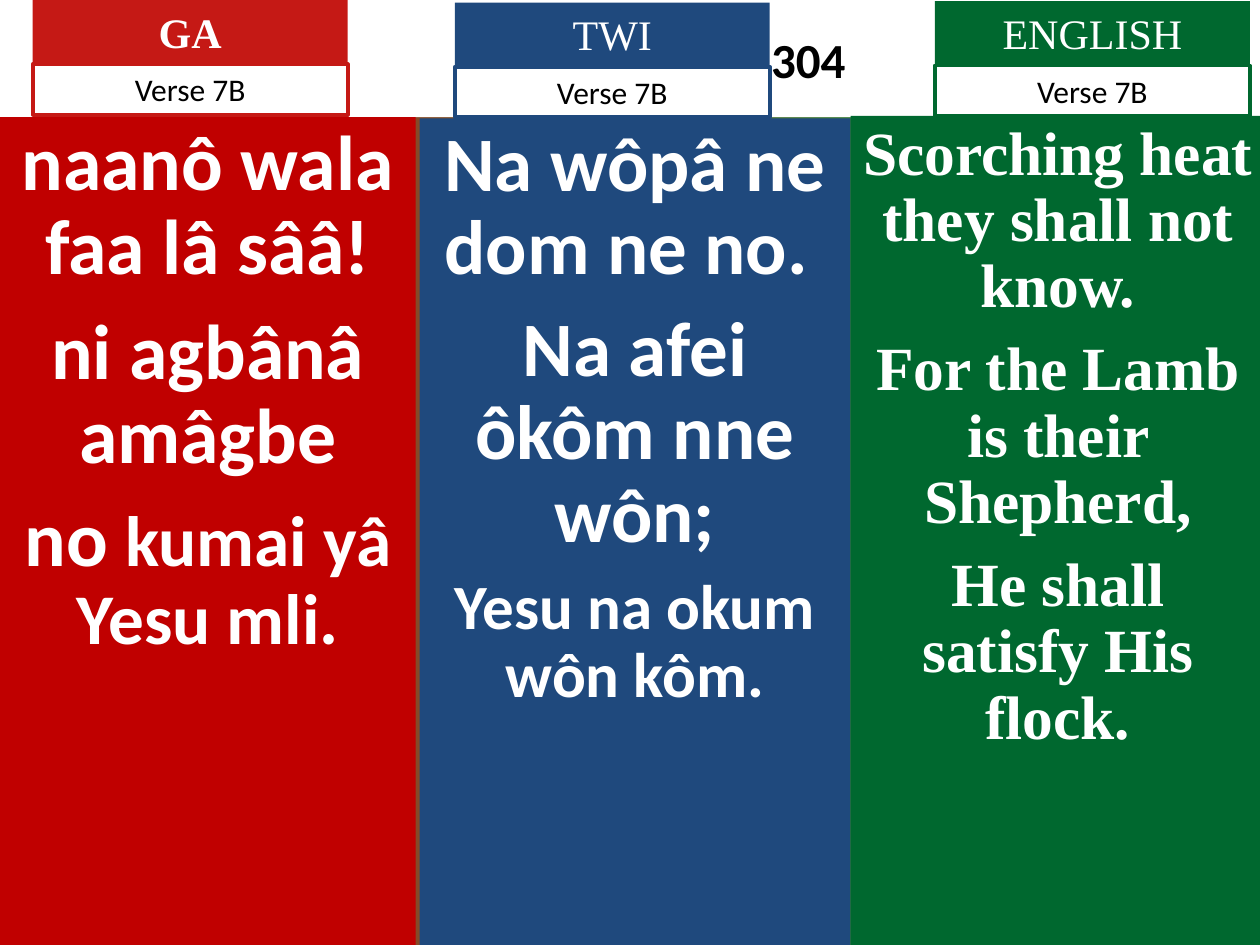
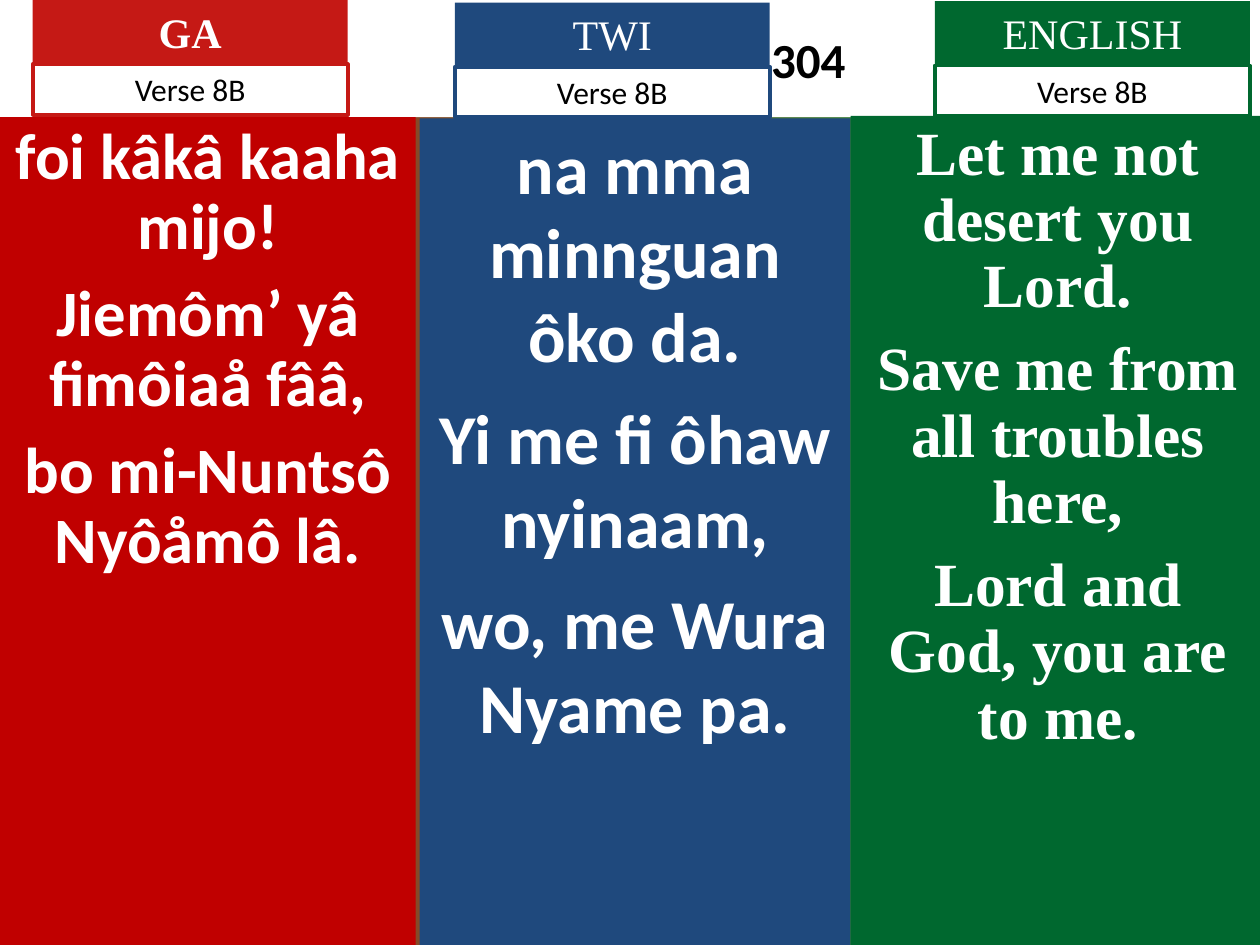
from dataclasses import dataclass
from typing import Optional

from pptx import Presentation
from pptx import util as u
from pptx.dml.color import RGBColor
from pptx.enum import shapes, text


@dataclass(frozen=True)
class Theme:
    white: str = "FFFFFF"
    black: str = "000000"
    crimson: str = "C51915"
    red: str = "C00000"
    blue: str = "1F497D"
    green: str = "00682F"
    glow: str = "00B050"
    sans: str = "Calibri"
    serif: str = "Times New Roman"
    title_size: float = 28
    tab_size: float = 24
    verse_size: float = 18
    verse_line: float = 2.25


@dataclass(frozen=True)
class Box:
    x: float
    y: float
    w: float
    h: float


@dataclass(frozen=True)
class Line:
    words: str
    size: float
    before: float
    tail: str = ""
    tail_size: float = 0


@dataclass(frozen=True)
class Column:
    language: str
    x: float
    w: float
    top: float
    tab_x: float
    tab_y: float
    body_fill: str
    tab_fill: str
    body_font: str
    tab_bold: bool = False


@dataclass(frozen=True)
class Stanza:
    lines: tuple[Line, ...]
    spacing: float = 0.9


@dataclass(frozen=True)
class Verse:
    label: str
    stanzas: tuple[Stanza, ...]


T = Theme()
GRID = 100
WIDTH, HEIGHT = u.Inches(10), u.Inches(7.5)
TAB_W, TAB_H = 25, 6.67
VERSE_STEP, VERSE_H = 6.8, 5.33
HYMN_NUMBER = "304"
TITLE_BOX = Box(0, 0, GRID, 12.4)
NUMBER_X = 61.2

COLUMNS = (
    Column("GA", 0, 33, 12.4, 2.6, 0, T.red, T.crimson, T.sans, True),
    Column("TWI", 33.3, 34.2, 12.53, 36.1, 0.27, T.blue, T.blue, T.sans),
    Column("ENGLISH", 67.5, 32.9, 12.27, 74.2, 0.13, T.green, T.green, T.serif),
)


def even_stanza(size: float, before: float, *lines: str, spacing: float = 0.9) -> Stanza:
    return Stanza(tuple(Line(words, size, before) for words in lines), spacing)


VERSES = (
    Verse("Verse 7B", (
        Stanza((
            Line("naanô wala faa lâ sââ!", 44.4, 12),
            Line("ni agbânâ amâgbe", 44.4, 12),
            Line("no ", 44.4, 11, "kumai yâ Yesu mli.", 40.7),
        )),
        Stanza((
            Line("Na wôpâ ne dom ne no. ", 44, 11),
            Line("Na afei ôkôm nne wôn;", 44, 11),
            Line("Yesu na okum wôn kôm.", 36, 9),
        )),
        even_stanza(35.1, 9.5, "Scorching heat they shall not know.",
                    "For the Lamb is their Shepherd,", "He shall satisfy His flock."),
    )),
    Verse("Verse 8B", (
        even_stanza(37, 10, "foi kâkâ kaaha mijo!", "Jiemôm’ yâ fimôiaå fââ,",
                    "bo mi-Nuntsô Nyôåmô lâ."),
        even_stanza(40, 10, "na mma minnguan ôko da.", "Yi me fi ôhaw nyinaam,",
                    "wo, me Wura Nyame pa.", spacing=1.0),
        even_stanza(35.1, 9.5, "Let me not desert you Lord.",
                    "Save me from all troubles here,", "Lord and God, you are to me."),
    )),
)


def rgb(value: str) -> RGBColor:
    return RGBColor.from_string(value)


def across(columns: float) -> int:
    return round(WIDTH * columns / GRID)


def down(rows: float) -> int:
    return round(HEIGHT * rows / GRID)


def place(sp, box: Box) -> None:
    sp.left, sp.top = across(box.x), down(box.y)
    sp.width, sp.height = across(box.w), down(box.h)


def set_font(font, name: str, size: float, color: str, bold: bool = False) -> None:
    font.name, font.size, font.bold = name, u.Pt(size), bold
    font.color.rgb = rgb(color)


def add_panel(s, box: Box, fill: Optional[str] = None, line: Optional[str] = None):
    sp = s.shapes.add_shape(shapes.MSO_SHAPE.RECTANGLE, 0, 0, 0, 0)
    place(sp, box)
    sp.shadow.inherit = False
    if fill:
        sp.fill.solid()
        sp.fill.fore_color.rgb = rgb(fill)
    else:
        sp.fill.background()
    if line:
        sp.line.color.rgb = rgb(line)
        sp.line.width = u.Pt(T.verse_line)
    else:
        sp.line.fill.background()
    tf = sp.text_frame
    tf.word_wrap = True
    tf.vertical_anchor = text.MSO_ANCHOR.TOP
    return tf


def add_label(tf, words: str, name: str, size: float, color: str, bold: bool = False) -> None:
    tf.auto_size = text.MSO_AUTO_SIZE.SHAPE_TO_FIT_TEXT
    p = tf.paragraphs[0]
    p.text = words
    p.alignment = text.PP_ALIGN.CENTER
    set_font(p.font, name, size, color, bold)


def add_stanza(tf, stanza: Stanza, name: str) -> None:
    for i, line in enumerate(stanza.lines):
        p = tf.add_paragraph() if i else tf.paragraphs[0]
        p.alignment = text.PP_ALIGN.CENTER
        p.line_spacing = stanza.spacing
        p.space_before = u.Pt(line.before if i else 0)
        p.add_run().text = line.words
        set_font(p.font, name, line.size, T.white, True)
        if line.tail:
            r = p.add_run()
            r.text = line.tail
            r.font.size = u.Pt(line.tail_size)


def add_title(s) -> None:
    sp = s.shapes.title
    place(sp, TITLE_BOX)
    sp.fill.solid()
    sp.fill.fore_color.rgb = rgb(T.white)
    tf = sp.text_frame
    tf.vertical_anchor = text.MSO_ANCHOR.MIDDLE
    tf.margin_left = across(NUMBER_X)
    p = tf.paragraphs[0]
    p.text = HYMN_NUMBER
    p.alignment = text.PP_ALIGN.LEFT
    set_font(p.font, T.sans, T.title_size, T.black, True)


def add_column(s, col: Column, label: str, stanza: Stanza) -> None:
    body = add_panel(s, Box(col.x, col.top, col.w, GRID - col.top), col.body_fill)
    add_stanza(body, stanza, col.body_font)
    tab = add_panel(s, Box(col.tab_x, col.tab_y, TAB_W, TAB_H), col.tab_fill)
    add_label(tab, col.language, T.serif, T.tab_size, T.white, col.tab_bold)
    verse = add_panel(s, Box(col.tab_x, col.tab_y + VERSE_STEP, TAB_W, VERSE_H), line=col.tab_fill)
    add_label(verse, label, T.sans, T.verse_size, T.black)


def set_background(master) -> None:
    fill = master.background.fill
    fill.gradient()
    fill.gradient_angle = 0
    for stop, color in zip(fill.gradient_stops, (T.crimson, T.glow)):
        stop.color.rgb = rgb(color)


def main() -> None:
    prs = Presentation()
    prs.slide_width, prs.slide_height = WIDTH, HEIGHT
    set_background(prs.slide_master)
    for verse in VERSES:
        s = prs.slides.add_slide(prs.slide_layouts[5])
        add_title(s)
        for col, stanza in zip(COLUMNS, verse.stanzas):
            add_column(s, col, verse.label, stanza)
    prs.save("out.pptx")


if __name__ == "__main__":
    main()
